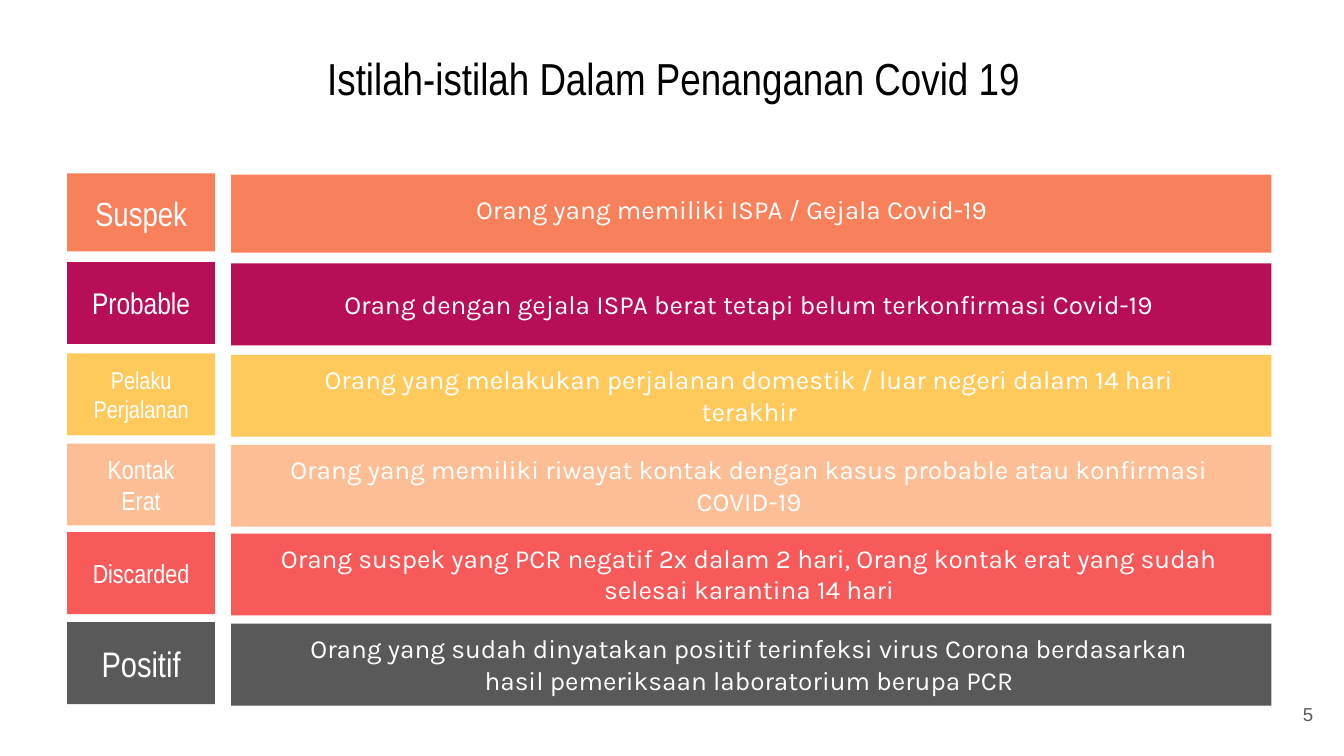
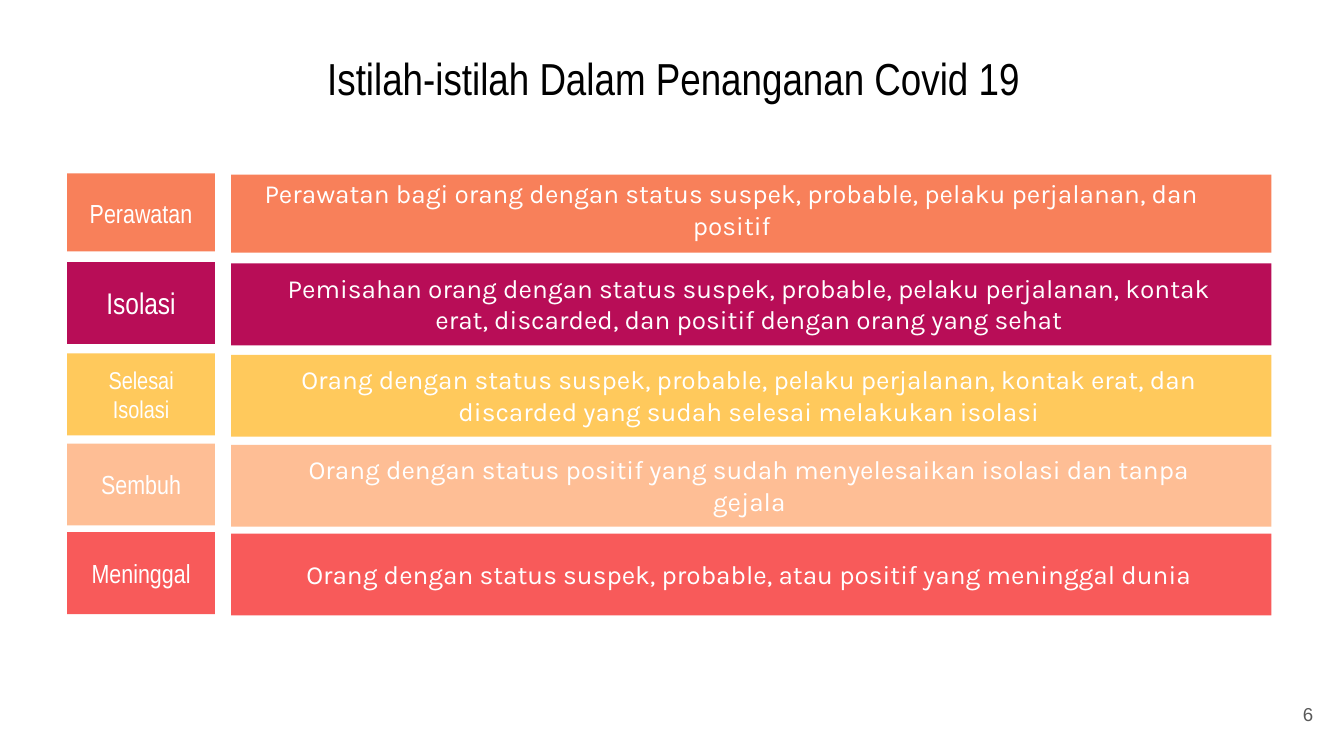
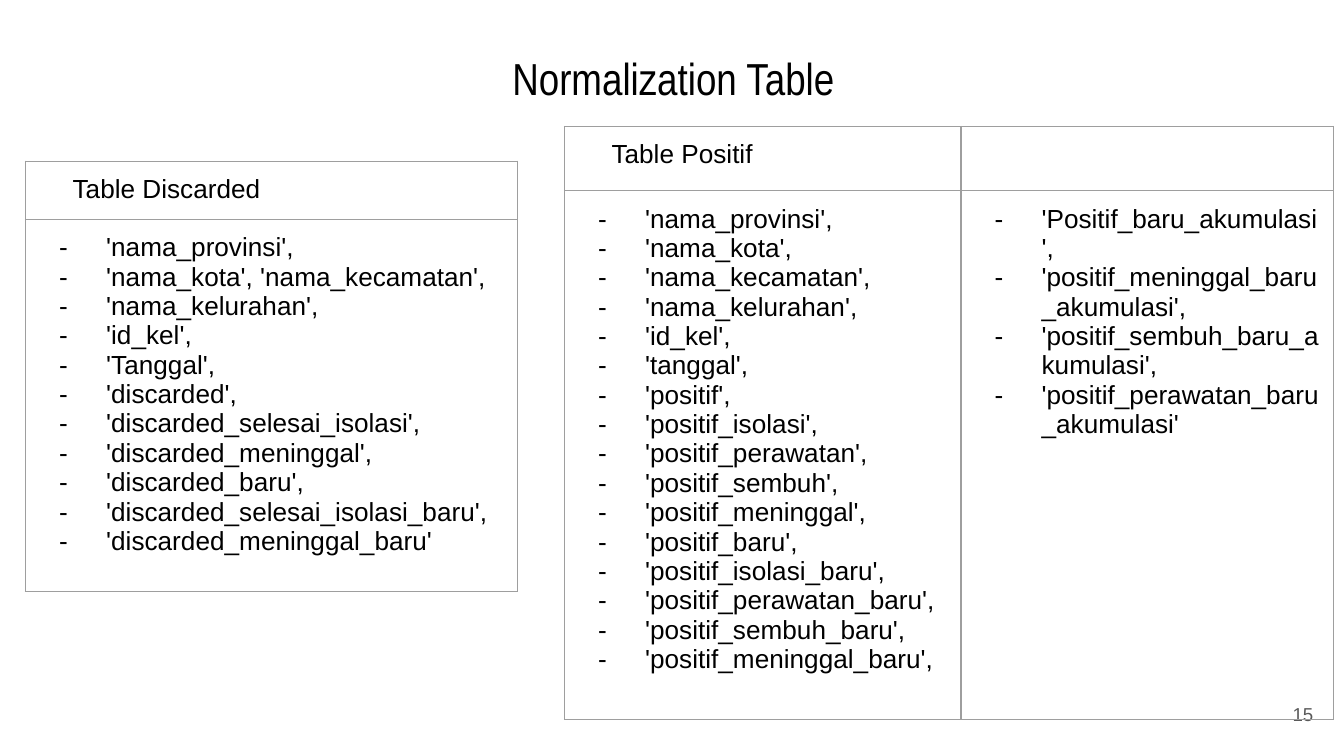
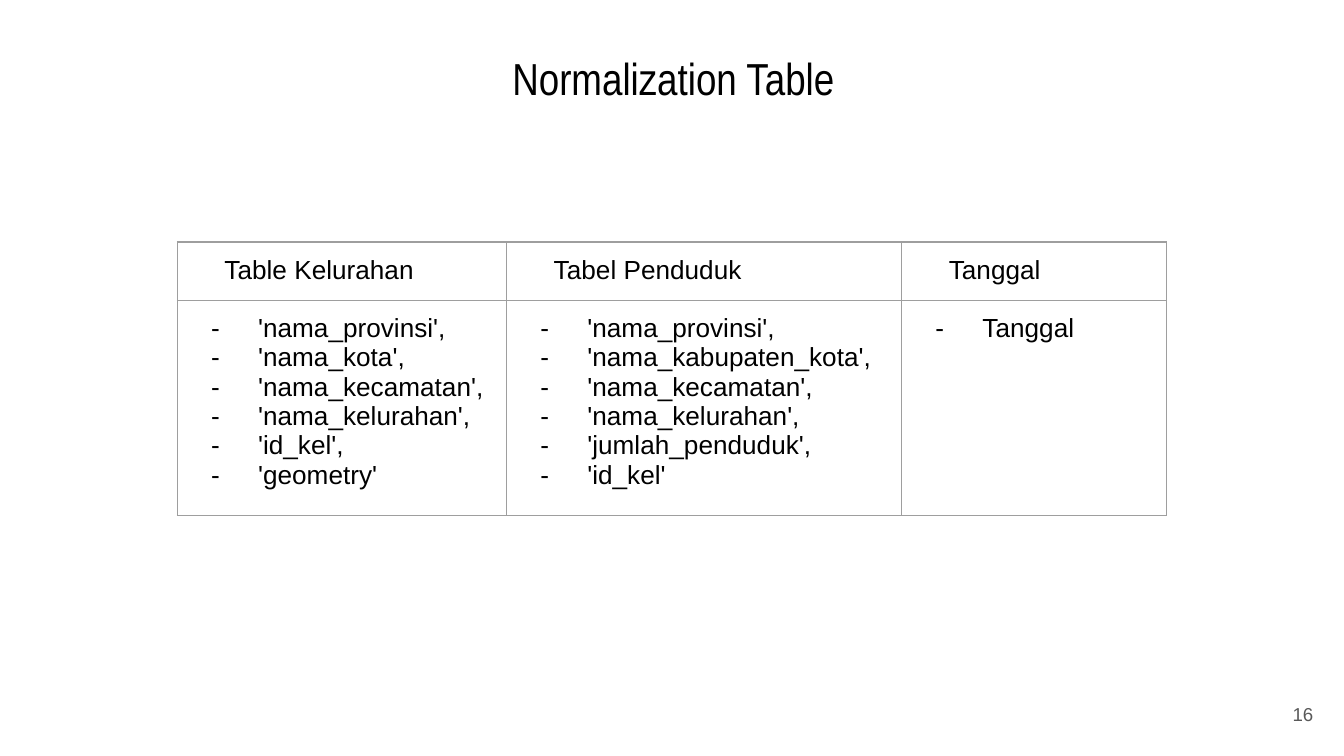
import pptx
import pptx.dml.color
import pptx.enum.shapes
import pptx.enum.text
import pptx.oxml.ns
import pptx.util
from lxml import etree

Inches = pptx.util.Inches
Pt = pptx.util.Pt
RGBColor = pptx.dml.color.RGBColor
ALIGN = pptx.enum.text.PP_ALIGN
ANCHOR = pptx.enum.text.MSO_ANCHOR
qn = pptx.oxml.ns.qn

BLACK = RGBColor(0x00, 0x00, 0x00)
WHITE = RGBColor(0xFF, 0xFF, 0xFF)
GRAY = RGBColor(0x59, 0x59, 0x59)
BORDER = RGBColor(0x9E, 0x9E, 0x9E)
ROW_COLORS = [
    RGBColor(0xF8, 0x80, 0x5A),
    RGBColor(0xB8, 0x0D, 0x57),
    RGBColor(0xFF, 0xC9, 0x5C),
    RGBColor(0xFE, 0xBE, 0x95),
    RGBColor(0xF8, 0x5A, 0x5A),
    GRAY,
]

SANS, NARROW, ROUND = "Arial", "Arial Narrow", "Karla"

ROW_TOPS = [1.29, 1.95, 2.63, 3.3, 3.96, 4.63]
FIRST_HEIGHT, ROW_HEIGHT = 0.58, 0.61
CELL_SIZE = 14

TERMS_TITLE = "Istilah-istilah Dalam Penanganan Covid 19"
TABLES_TITLE = "Normalization Table"

# Term, its font size, definition
CASE_TERMS = [
    ("Suspek", 18, "Orang yang memiliki ISPA / Gejala Covid-19"),
    ("Probable", 16, "Orang dengan gejala ISPA berat tetapi belum terkonfirmasi Covid-19"),
    ("Pelaku Perjalanan", 13,
     "Orang yang melakukan perjalanan domestik / luar negeri dalam 14 hari terakhir"),
    ("Kontak Erat", 14,
     "Orang yang memiliki riwayat kontak dengan kasus probable atau konfirmasi COVID-19"),
    ("Discarded", 14,
     "Orang suspek yang PCR negatif 2x dalam 2 hari, Orang kontak erat yang sudah "
     "selesai karantina 14 hari"),
    ("Positif", 19,
     "Orang yang sudah dinyatakan positif terinfeksi virus Corona berdasarkan hasil "
     "pemeriksaan laboratorium berupa PCR"),
]
OUTCOME_TERMS = [
    ("Perawatan", 14,
     "Perawatan bagi orang dengan status suspek, probable, pelaku perjalanan, dan positif"),
    ("Isolasi", 16,
     "Pemisahan orang dengan status suspek, probable, pelaku perjalanan, kontak erat, "
     "discarded, dan positif dengan orang yang sehat"),
    ("Selesai Isolasi", 13,
     "Orang dengan status suspek, probable, pelaku perjalanan, kontak erat, dan "
     "discarded yang sudah selesai melakukan isolasi"),
    ("Sembuh", 14,
     "Orang dengan status positif yang sudah menyelesaikan isolasi dan tanpa gejala"),
    ("Meninggal", 14,
     "Orang dengan status suspek, probable, atau positif yang meninggal dunia"),
]

# Table heading, fields
DISCARDED = [
    ("Table Discarded", [
        "'nama_provinsi',", "'nama_kota', 'nama_kecamatan',", "'nama_kelurahan',",
        "'id_kel',", "'Tanggal',", "'discarded',", "'discarded_selesai_isolasi',",
        "'discarded_meninggal',", "'discarded_baru',",
        "'discarded_selesai_isolasi_baru',", "'discarded_meninggal_baru'",
    ]),
]
POSITIF = [
    ("Table Positif", [
        "'nama_provinsi',", "'nama_kota',", "'nama_kecamatan',", "'nama_kelurahan',",
        "'id_kel',", "'tanggal',", "'positif',", "'positif_isolasi',",
        "'positif_perawatan',", "'positif_sembuh',", "'positif_meninggal',",
        "'positif_baru',", "'positif_isolasi_baru',", "'positif_perawatan_baru',",
        "'positif_sembuh_baru',", "'positif_meninggal_baru',",
    ]),
    ("", [
        "'Positif_baru_akumulasi',", "'positif_meninggal_baru_akumulasi',",
        "'positif_sembuh_baru_akumulasi',", "'positif_perawatan_baru_akumulasi'",
    ]),
]
REFERENCE = [
    ("Table Kelurahan", [
        "'nama_provinsi',", "'nama_kota',", "'nama_kecamatan',", "'nama_kelurahan',",
        "'id_kel',", "'geometry'",
    ]),
    ("Tabel Penduduk", [
        "'nama_provinsi',", "'nama_kabupaten_kota',", "'nama_kecamatan',",
        "'nama_kelurahan',", "'jumlah_penduduk',", "'id_kel'",
    ]),
    ("Tanggal", ["Tanggal"]),
]


def format_text(frame, font, size, color, align=None):
    for paragraph in frame.paragraphs:
        paragraph.alignment = align
        for run in paragraph.runs:
            run.font.name = font
            run.font.size = Pt(size)
            run.font.color.rgb = color


def set_insets(frame, vertical):
    frame.margin_left = frame.margin_right = Inches(0.1)
    frame.margin_top = frame.margin_bottom = Inches(vertical)


def add_label(slide, box, text, font, size, color, align=ALIGN.CENTER, inset=0.05):
    frame = slide.shapes.add_textbox(*map(Inches, box)).text_frame
    frame.word_wrap = True
    frame.vertical_anchor = ANCHOR.MIDDLE
    set_insets(frame, inset)
    frame.text = text
    format_text(frame, font, size, color, align)


def add_band(slide, box, color):
    band = slide.shapes.add_shape(
        pptx.enum.shapes.MSO_SHAPE.RECTANGLE, *map(Inches, box))
    band.shadow.inherit = False
    band.fill.solid()
    band.fill.fore_color.rgb = color
    band.line.fill.background()


def add_titled_slide(deck, title, number):
    slide = deck.slides.add_slide(deck.slide_layouts[5])
    heading = slide.shapes.title
    heading.left, heading.top = Inches(0.5), Inches(0.45)
    heading.width, heading.height = Inches(9.02), Inches(0.43)
    frame = heading.text_frame
    frame.text = title
    frame.auto_size = pptx.enum.text.MSO_AUTO_SIZE.NONE
    frame.vertical_anchor = ANCHOR.BOTTOM
    set_insets(frame, 0.1)
    format_text(frame, NARROW, 24, BLACK, ALIGN.CENTER)
    add_label(slide, (9.27, 5.1, 0.6, 0.43), str(number), SANS, 10, GRAY,
              ALIGN.RIGHT, inset=0.1)
    return slide


def add_term_rows(slide, terms):
    for index, (term, size, definition) in enumerate(terms):
        top, color = ROW_TOPS[index], ROW_COLORS[index]
        if index == 0:
            height = FIRST_HEIGHT
            term_box = (0.56, top - 0.01, 0.98, 0.61)
            definition_box = (1.72, top, 7.45, 0.53)
        else:
            height = ROW_HEIGHT
            term_box = (0.56, top + 0.1, 0.98, 0.41)
            definition_box = (1.99, top + 0.11, 7.17, 0.4)
        add_band(slide, (0.5, top, 1.1, height), color)
        add_band(slide, (1.72, top + 0.01, 7.74, height), color)
        add_label(slide, term_box, term, NARROW, size, WHITE)
        add_label(slide, definition_box, definition, ROUND, 14, WHITE)


def set_borders(cell):
    properties = cell._tc.get_or_add_tcPr()
    for side in ("a:lnL", "a:lnR", "a:lnT", "a:lnB"):
        line = etree.SubElement(properties, qn(side), w=str(Pt(0.75)))
        fill = etree.SubElement(line, qn("a:solidFill"))
        etree.SubElement(fill, qn("a:srgbClr"), val=str(BORDER))


def set_indent(paragraph, hanging, bullet=None):
    properties = paragraph._p.get_or_add_pPr()
    properties.set("marL", str(Inches(0.5)))
    properties.set("indent", str(-Inches(hanging)))
    if bullet:
        color = etree.SubElement(properties, qn("a:buClr"))
        etree.SubElement(color, qn("a:srgbClr"), val=str(BLACK))
        etree.SubElement(properties, qn("a:buSzPts"), val=str(CELL_SIZE * 100))
        etree.SubElement(properties, qn("a:buFont"), typeface=SANS)
        etree.SubElement(properties, qn("a:buChar"), char=bullet)
    else:
        etree.SubElement(properties, qn("a:buNone"))


def fill_cell(cell, text, hanging, bullet=None):
    set_borders(cell)
    cell.fill.background()
    set_insets(cell, 0.1)
    frame = cell.text_frame
    frame.text = text
    format_text(frame, SANS, CELL_SIZE, BLACK)
    for paragraph in frame.paragraphs:
        set_indent(paragraph, hanging, bullet)
        etree.SubElement(paragraph._p, qn("a:endParaRPr"), sz=str(CELL_SIZE * 100))


def add_field_table(slide, left, top, widths, heights, columns):
    """Draw one column per (heading, fields) pair."""
    table = slide.shapes.add_table(
        2, len(columns), Inches(left), Inches(top),
        Inches(sum(widths)), Inches(sum(heights))).table
    table.first_row = table.horz_banding = False
    for row, height in zip(table.rows, heights):
        row.height = Inches(height)
    for index, (heading, fields) in enumerate(columns):
        table.columns[index].width = Inches(widths[index])
        fill_cell(table.cell(0, index), heading, 0.25)
        fill_cell(table.cell(1, index), "\n".join(fields), 0.35, "-")


def main():
    deck = pptx.Presentation()
    deck.slide_width = Inches(10)
    deck.slide_height = deck.slide_width * 9 // 16

    add_term_rows(add_titled_slide(deck, TERMS_TITLE, 5), CASE_TERMS)
    add_term_rows(add_titled_slide(deck, TERMS_TITLE, 6), OUTCOME_TERMS)

    case_tables = add_titled_slide(deck, TABLES_TITLE, 15)
    add_field_table(case_tables, 0.19, 1.2, [3.66], [0.42, 0.42], DISCARDED)
    add_field_table(case_tables, 4.2, 0.94, [2.95, 2.77], [0.48, 3.93], POSITIF)

    reference_tables = add_titled_slide(deck, TABLES_TITLE, 16)
    add_field_table(reference_tables, 1.32, 1.8, [2.45, 2.94, 1.97], [0.42, 0.42],
                    REFERENCE)

    deck.save("out.pptx")


if __name__ == "__main__":
    main()
